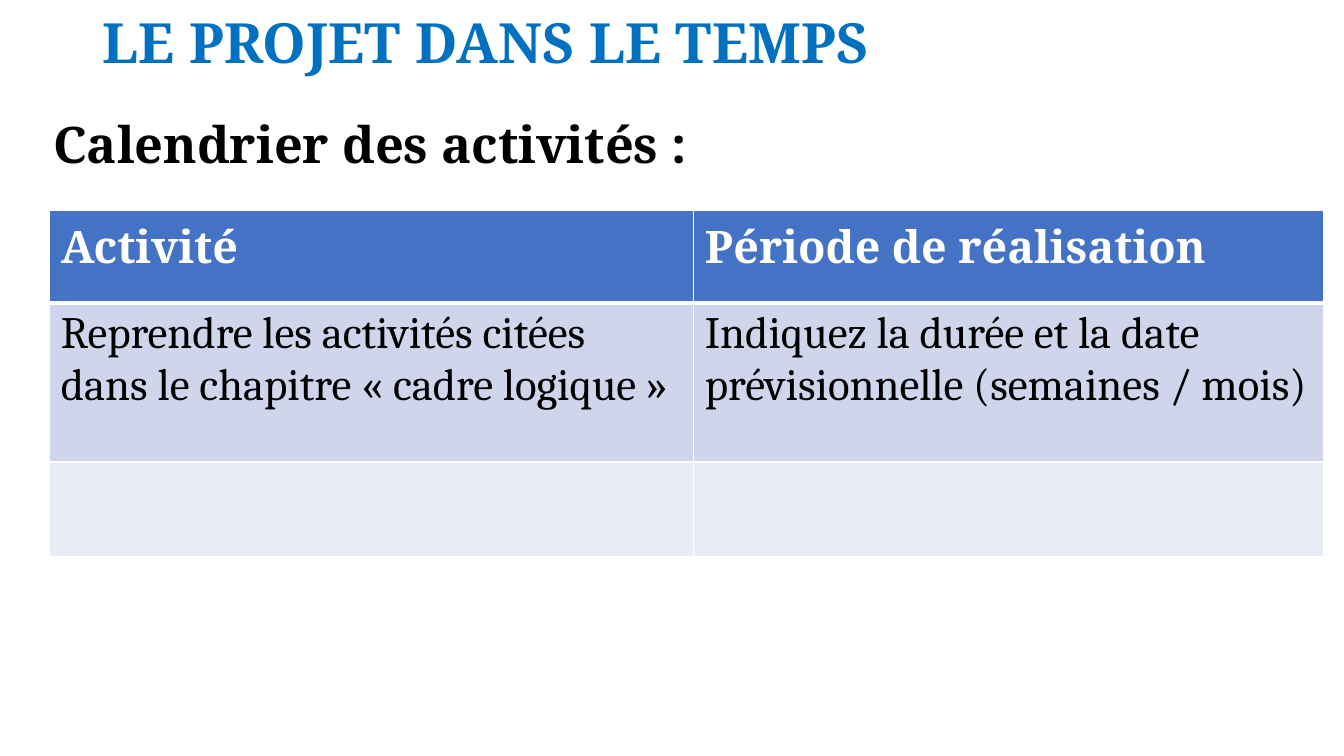
from lxml.etree import SubElement
from pptx import Presentation
from pptx.dml.color import RGBColor
from pptx.enum.text import MSO_ANCHOR, PP_ALIGN
from pptx.oxml.ns import qn
from pptx.util import Pt

SERIF, BODY = "Noto Serif", "Cambria"
WHITE, BLACK, TITLE_BLUE = "FFFFFF", "000000", "0070C0"
ROW_FILLS = ["4472C4", "CFD5EA", "E9EBF5"]
COLUMN_WIDTHS = [460, 450]
ROW_HEIGHTS = [66, 113.5, 67.5]
CALENDAR = [
    [["Activité"], ["Période de réalisation"]],
    [["Reprendre les activités citées dans le chapitre « cadre logique »"],
     ["Indiquez la durée et la date", "prévisionnelle (semaines / mois)"]],
    [[], []],
]


def colour(value):
    return RGBColor.from_string(value)


def add_span(para, text, size, font, tint, bold):
    span = para.add_run()
    span.text = text
    span.font.size = Pt(size)
    span.font.name = font
    span.font.bold = bold
    span.font.color.rgb = colour(tint)


def place(shape, box):
    shape.left, shape.top, shape.width, shape.height = map(Pt, box)


def add_title(page, box):
    title = page.shapes.title
    place(title, box)
    frame = title.text_frame
    frame.word_wrap = True
    frame.vertical_anchor = MSO_ANCHOR.MIDDLE
    para = frame.paragraphs[0]
    para.alignment = PP_ALIGN.LEFT
    para.line_spacing = 0.9
    add_span(para, "LE PROJET DANS LE TEMPS", 39.6, SERIF, TITLE_BLUE, True)


def add_heading(page, box):
    frame = page.shapes.add_textbox(*map(Pt, box)).text_frame
    frame.word_wrap = True
    para = frame.paragraphs[0]
    para.line_spacing = 0.9
    para.space_before = Pt(10)
    add_span(para, "Calendrier des activités :", 36, SERIF, BLACK, True)


def set_borders(cell, bottom_width, top_width):
    properties = cell._tc.get_or_add_tcPr()
    widths = {"a:lnL": 1, "a:lnR": 1, "a:lnT": top_width, "a:lnB": bottom_width}
    for position, (side, width) in enumerate(widths.items()):
        line = SubElement(properties, qn(side), w=str(Pt(width)))
        fill = SubElement(line, qn("a:solidFill"))
        SubElement(fill, qn("a:srgbClr"), val=WHITE)
        properties.insert(position, line)  # borders come before the fill


def fill_cell(cell, lines, row):
    header = row == 0
    cell.fill.solid()
    cell.fill.fore_color.rgb = colour(ROW_FILLS[row])
    cell.margin_left = cell.margin_right = Pt(8)
    cell.margin_top = cell.margin_bottom = Pt(3.6)
    set_borders(cell, 3 if header else 1, 3 if row == 1 else 1)
    frame = cell.text_frame
    for number, text in enumerate(lines):
        para = frame.add_paragraph() if number else frame.paragraphs[0]
        add_span(para, text, 32, SERIF if header else BODY,
                 WHITE if header else BLACK, header)


def add_calendar(page, left, top):
    box = (left, top, sum(COLUMN_WIDTHS), sum(ROW_HEIGHTS))
    table = page.shapes.add_table(
        len(ROW_HEIGHTS), len(COLUMN_WIDTHS), *map(Pt, box)).table
    for column, width in zip(table.columns, COLUMN_WIDTHS):
        column.width = Pt(width)
    for row, height in enumerate(ROW_HEIGHTS):
        table.rows[row].height = Pt(height)
        for column, lines in enumerate(CALENDAR[row]):
            fill_cell(table.cell(row, column), lines, row)


def main():
    deck = Presentation()
    deck.slide_width, deck.slide_height = Pt(960), Pt(540)
    page = deck.slides.add_slide(deck.slide_layouts[5])
    # Title and section heading
    add_title(page, (66, 12, 828, 41))
    add_heading(page, (31, 82, 908.5, 379))
    # Activity calendar
    add_calendar(page, 35.5, 150.5)
    deck.save("out.pptx")


if __name__ == "__main__":
    main()
